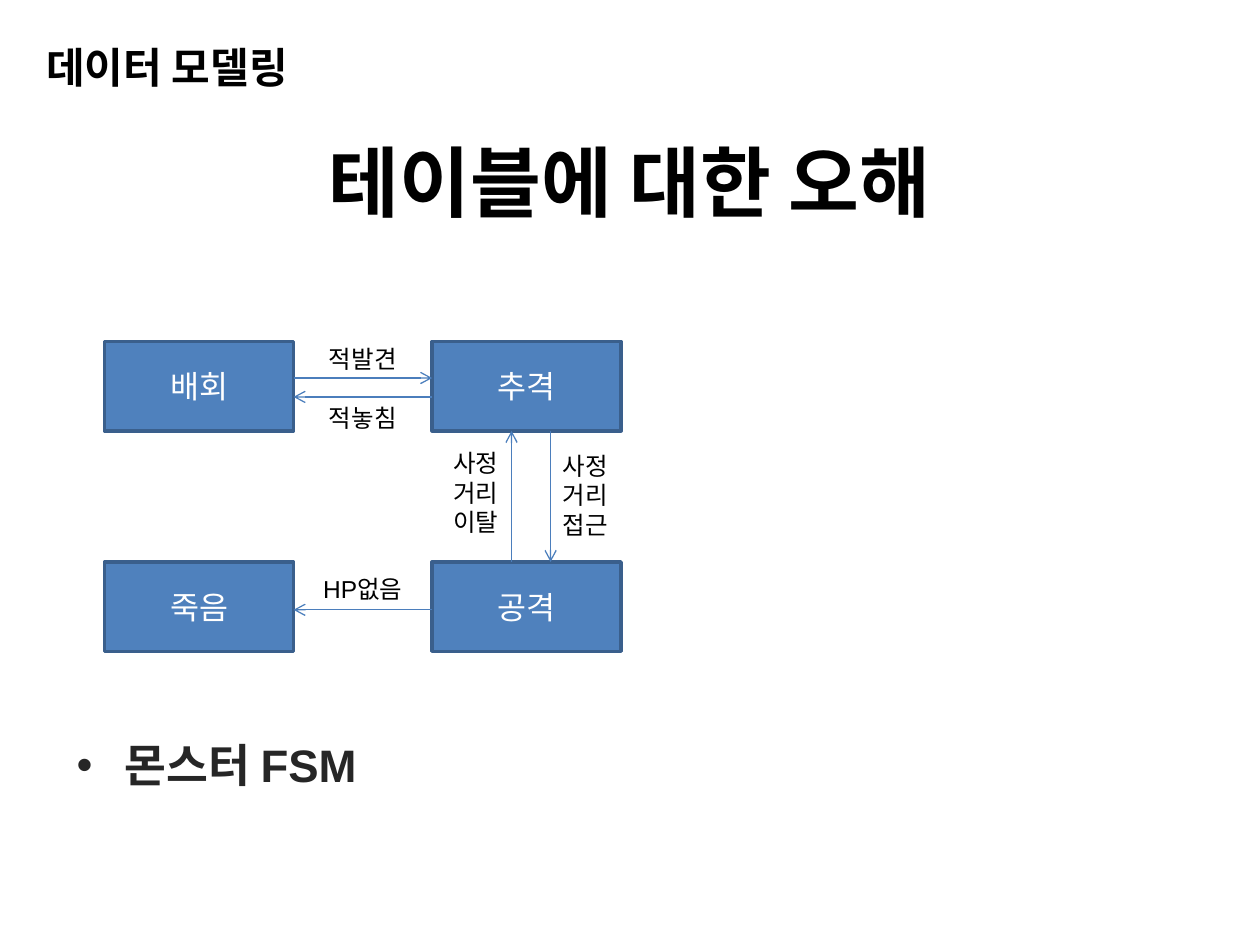
"""Build the monster state machine slide."""
from lxml import etree
from pptx import Presentation
from pptx.dml.color import RGBColor
from pptx.enum.shapes import MSO_CONNECTOR, MSO_SHAPE
from pptx.enum.text import MSO_ANCHOR, MSO_AUTO_SIZE, PP_ALIGN
from pptx.oxml.ns import qn
from pptx.util import Inches, Pt

RECT = MSO_SHAPE.RECTANGLE
STRAIGHT = MSO_CONNECTOR.STRAIGHT
TOP, MIDDLE = MSO_ANCHOR.TOP, MSO_ANCHOR.MIDDLE
LEFT, CENTER = PP_ALIGN.LEFT, PP_ALIGN.CENTER
GROW, FIXED = MSO_AUTO_SIZE.SHAPE_TO_FIT_TEXT, MSO_AUTO_SIZE.NONE

BLACK = RGBColor(0x00, 0x00, 0x00)
WHITE = RGBColor(0xFF, 0xFF, 0xFF)
GRAY = RGBColor(0x26, 0x26, 0x26)
BLUE = RGBColor(0x4F, 0x81, 0xBD)
BORDER = RGBColor(0x3A, 0x5F, 0x8C)
ARROW = RGBColor(0x4B, 0x7E, 0xBC)

BOX_W, BOX_H = 1.5, 0.71
COL1, COL2 = 0.83, 3.43
ROW1, ROW2 = 2.71, 4.46
GAP_X, GAP_Y = COL1 + BOX_W, ROW1 + BOX_H


class SlideBuilder:
    font = "Arial"

    def __init__(self, slide):
        self.s = slide

    def fill_text(self, sp, text, size, color, bold=False, align=LEFT, anchor=TOP):
        tf = sp.text_frame
        tf.word_wrap = True
        tf.vertical_anchor = anchor
        p = tf.paragraphs[0]
        p.alignment = align
        r = p.add_run()
        r.text = text
        r.font.name = self.font
        r.font.size = Pt(size)
        r.font.bold = bold
        r.font.color.rgb = color
        return p

    def text(self, x, y, w, h, text, size, color=BLACK, fit=FIXED, **style):
        sp = self.s.shapes.add_textbox(Inches(x), Inches(y), Inches(w), Inches(h))
        p = self.fill_text(sp, text, size, color, **style)
        sp.text_frame.auto_size = fit
        return p

    def label(self, x, y, w, h, text, align=CENTER):
        self.text(x, y, w, h, text, 14, fit=GROW, align=align)

    def bullet(self, x, y, w, h, text, size, color):
        p = self.text(x, y, w, h, text, size, color, bold=True)
        p.space_before = Pt(size * 0.2)
        pPr = p._p.get_or_add_pPr()
        pPr.set("marL", str(Inches(0.38)))
        pPr.set("indent", str(Inches(-0.38)))
        etree.SubElement(pPr, qn("a:buFont")).set("typeface", self.font)
        etree.SubElement(pPr, qn("a:buChar")).set("char", "•")

    def state(self, x, y, text):
        sp = self.s.shapes.add_shape(
            RECT, Inches(x), Inches(y), Inches(BOX_W), Inches(BOX_H))
        sp.shadow.inherit = False
        sp.fill.solid()
        sp.fill.fore_color.rgb = BLUE
        sp.line.color.rgb = BORDER
        sp.line.width = Pt(2)
        self.fill_text(sp, text, 18, WHITE, align=CENTER, anchor=MIDDLE)

    def arrow(self, x1, y1, x2, y2):
        c = self.s.shapes.add_connector(
            STRAIGHT, Inches(x1), Inches(y1), Inches(x2), Inches(y2))
        c.line.color.rgb = ARROW
        c.line.width = Pt(0.75)
        spPr = c._element.spPr
        etree.SubElement(spPr.find(qn("a:ln")), qn("a:tailEnd")).set("type", "arrow")
        etree.SubElement(spPr, qn("a:effectLst"))


def main():
    prs = Presentation()
    prs.slide_width, prs.slide_height = Inches(10), Inches(7.5)
    b = SlideBuilder(prs.slides.add_slide(prs.slide_layouts[6]))

    b.text(0, 0.84, 10, 1.18, "테이블에 대한 오해", 44,
           bold=True, align=CENTER, anchor=MIDDLE)
    p = b.text(0.27, 0.28, 4.57, 0.55, "데이터 모델링", 24, bold=True)
    p.space_before = Pt(4.8)

    for x, y, name in [(COL1, ROW1, "배회"), (COL2, ROW1, "추격"),
                       (COL2, ROW2, "공격"), (COL1, ROW2, "죽음")]:
        b.state(x, y, name)

    for x1, x2, y, label_y, name in [(GAP_X, COL2, 3, 2.68, "적발견"),
                                     (COL2, GAP_X, 3.15, 3.15, "적놓침"),
                                     (COL2, GAP_X, 4.84, 4.51, "HP없음")]:
        b.arrow(x1, y, x2, y)
        b.label(GAP_X, label_y, COL2 - GAP_X, 0.34, name)

    for x, y1, y2, label_x, label_y, name in [
            (4.37, GAP_Y, ROW2, 4.37, 3.53, "사정거리접근"),
            (4.06, ROW2, GAP_Y, 3.5, 3.51, "사정거리이탈")]:
        b.arrow(x, y1, x, y2)
        b.label(label_x, label_y, 0.63, 0.81, name, LEFT)

    b.bullet(0.51, 5.8, 2.76, 1.02, "몬스터 FSM", 26, GRAY)
    prs.save("out.pptx")


if __name__ == "__main__":
    main()
